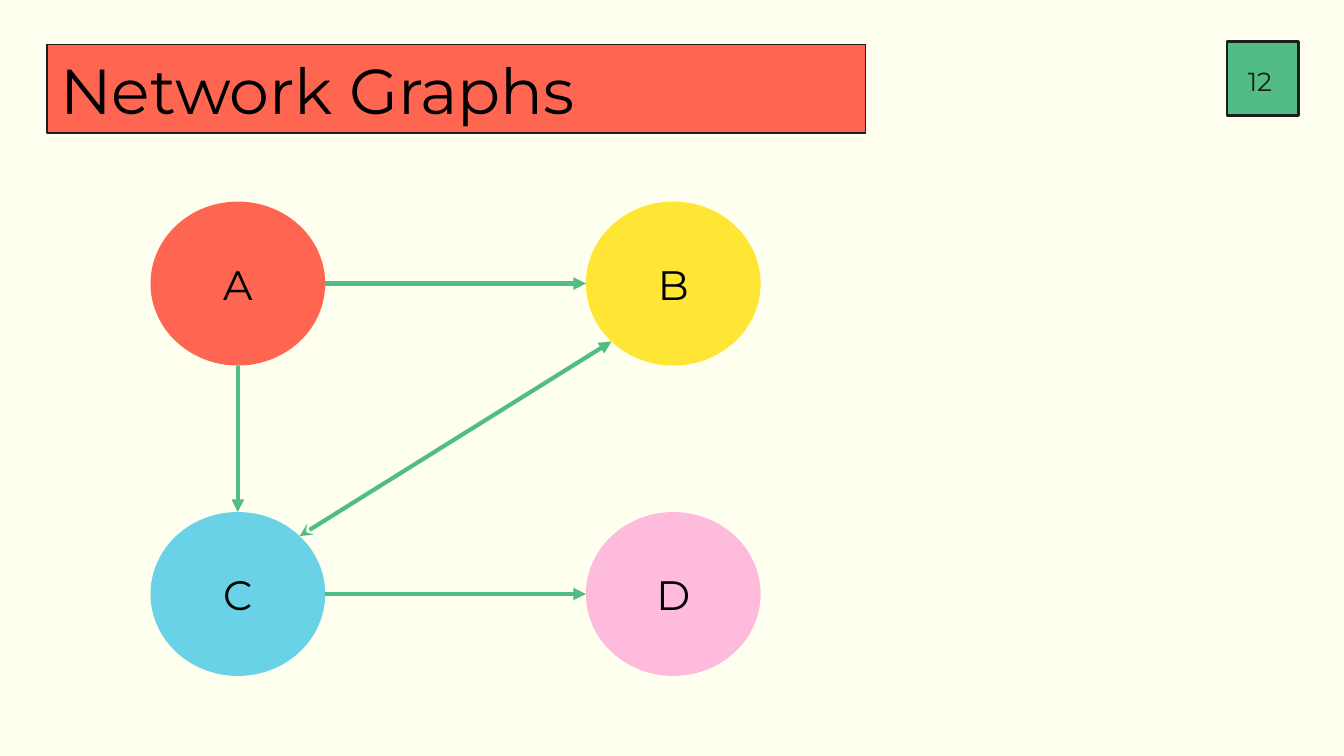
from dataclasses import dataclass
from math import cos, radians, sin

from lxml import etree
from pptx import Presentation
from pptx.dml.color import RGBColor
from pptx.enum.shapes import MSO_CONNECTOR, MSO_SHAPE
from pptx.enum.text import MSO_ANCHOR, PP_ALIGN
from pptx.oxml.ns import qn
from pptx.util import Inches, Pt

RECT, OVAL = MSO_SHAPE.RECTANGLE, MSO_SHAPE.OVAL
STRAIGHT = MSO_CONNECTOR.STRAIGHT
MIDDLE = MSO_ANCHOR.MIDDLE
LEFT, CENTER = PP_ALIGN.LEFT, PP_ALIGN.CENTER


@dataclass(frozen=True)
class Theme:
    font: str = "Montserrat"
    paper: str = "FFFFF0"
    ink: str = "000000"
    dark: str = "1D1D1D"
    red: str = "FF6652"
    green: str = "51BD85"
    yellow: str = "FFE534"
    blue: str = "6AD2E6"
    pink: str = "FFBBDC"
    title: float = 34
    node: float = 22
    number: float = 14


THEME = Theme()


def color(code):
    return RGBColor.from_string(code)


def write(shape, text, size, ink=THEME.ink, align=CENTER):
    frame = shape.text_frame
    frame.word_wrap = True
    frame.vertical_anchor = MIDDLE
    frame.margin_left = frame.margin_right = Inches(0.1)
    frame.margin_top = frame.margin_bottom = Inches(0.1)
    para = frame.paragraphs[0]
    para.alignment = align
    run = para.add_run()
    run.text = text
    run.font.name = THEME.font
    run.font.size = Pt(size)
    run.font.color.rgb = color(ink)


def draw(slide, kind, box, fill, line=0):
    shape = slide.shapes.add_shape(kind, *map(Inches, box))
    shape.shadow.inherit = False
    shape.fill.solid()
    shape.fill.fore_color.rgb = color(fill)
    if line:
        shape.line.color.rgb = color(THEME.dark)
        shape.line.width = Pt(line)
    else:
        shape.line.fill.background()
    return shape


def arrow(slide, start, end, head=None):
    link = slide.shapes.add_connector(STRAIGHT, *map(Inches, (*start, *end)))
    link.line.color.rgb = color(THEME.green)
    link.line.width = Pt(2.25)
    line = link.line._get_or_add_ln()
    if head:
        etree.SubElement(line, qn("a:headEnd"), type=head)
    etree.SubElement(line, qn("a:tailEnd"), type="triangle")
    etree.SubElement(link._element.spPr, qn("a:effectLst"))


def add_title(slide, box):
    bar = draw(slide, RECT, box, THEME.red, line=0.75)
    write(bar, "Network Graphs", THEME.title, align=LEFT)


def add_number(slide, box):
    x, y, w, h = box
    draw(slide, RECT, box, THEME.green, line=1.5)
    # The label sits slightly off the centre of its square
    label = slide.shapes.add_textbox(*map(Inches, (x - 0.02, y + 0.02, w, h)))
    write(label, "12", THEME.number, ink=THEME.dark)


def add_graph(slide, box):
    x, y, w, h = box
    wide, high = 1.3, 1.22
    nodes = {
        "A": (0, 0, THEME.red),
        "B": (1, 0, THEME.yellow),
        "C": (0, 1, THEME.blue),
        "D": (1, 1, THEME.pink),
    }
    # Each edge: node and angle at both ends, clockwise from the right
    edges = [
        ("A", 0, "B", 180, None),
        ("A", 90, "C", 270, None),
        ("C", 0, "D", 180, None),
        ("C", 315, "B", 135, "stealth"),
    ]

    def corner(name):
        col, row, _ = nodes[name]
        return x + col * (w - wide), y + row * (h - high)

    def rim(name, angle):
        left, top = corner(name)
        turn = radians(angle)
        return (left + wide / 2 * (1 + cos(turn)),
                top + high / 2 * (1 + sin(turn)))

    for name, (_, _, fill) in nodes.items():
        node = draw(slide, OVAL, (*corner(name), wide, high), fill)
        write(node, name, THEME.node)
    for first, out, last, into, head in edges:
        arrow(slide, rim(first, out), rim(last, into), head)


def main():
    deck = Presentation()
    # Widescreen, 16 to 9
    deck.slide_width = Inches(10)
    deck.slide_height = Inches(10 * 9 / 16)
    slide = deck.slides.add_slide(deck.slide_layouts[6])
    slide.background.fill.solid()
    slide.background.fill.fore_color.rgb = color(THEME.paper)

    # Header
    add_number(slide, (9.13, 0.31, 0.53, 0.55))
    add_title(slide, (0.35, 0.33, 6.09, 0.66))
    # Directed graph
    add_graph(slide, (1.12, 1.5, 4.54, 3.53))

    deck.save("out.pptx")


if __name__ == "__main__":
    main()
